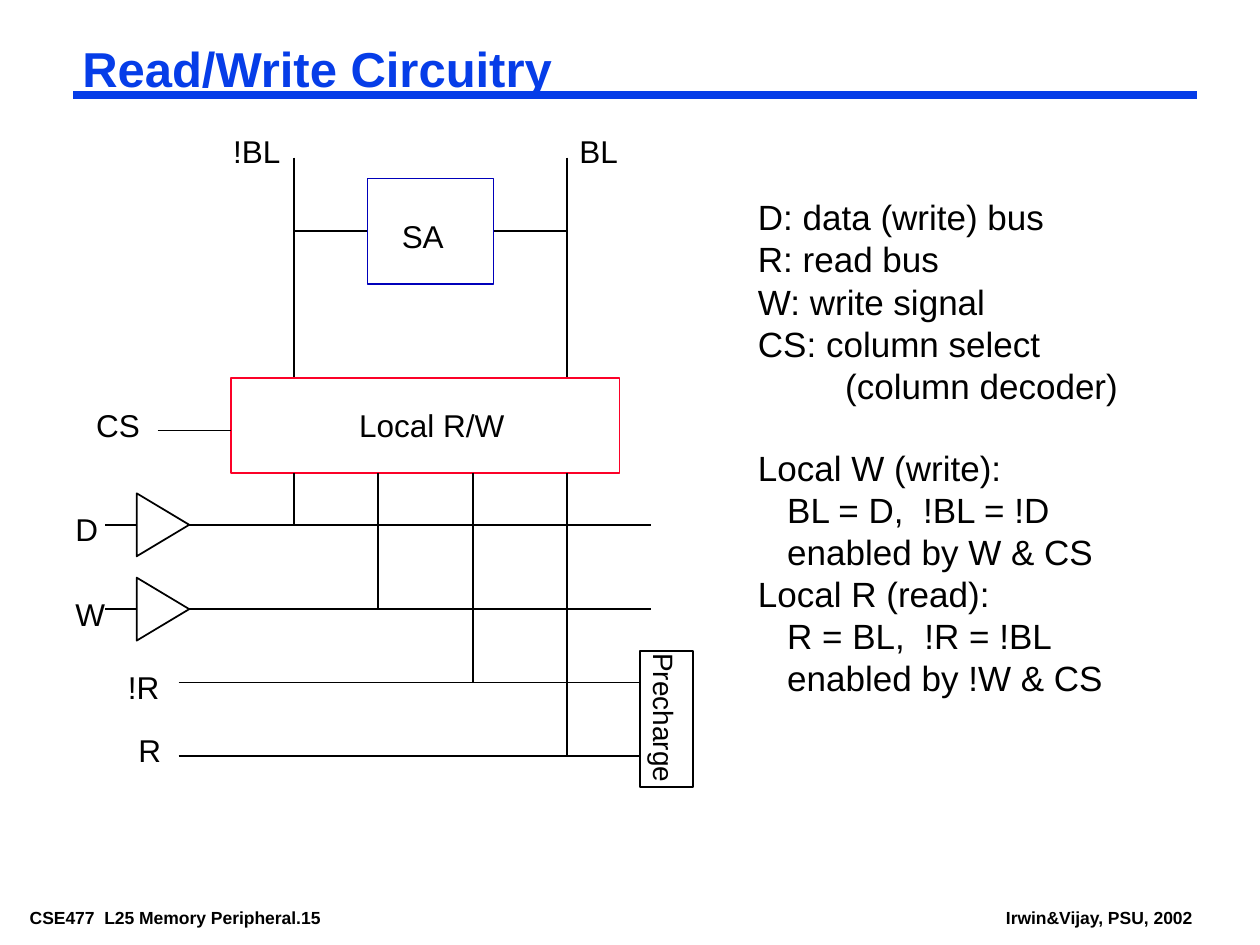
from dataclasses import dataclass

from lxml import etree
from pptx import Presentation
from pptx import util as u
from pptx.dml.color import RGBColor
from pptx.enum import shapes, text
from pptx.oxml import ns


@dataclass(frozen=True)
class Theme:
    font: str = "Arial"
    ink: str = "000000"
    blue: str = "063DE8"
    navy: str = "0000BA"
    red: str = "FC0128"
    title: float = 28
    body: float = 20
    label: float = 18
    small: float = 16
    footer: float = 10
    wire: float = 0.99
    rule: float = 4.5


class Sketch:
    def __init__(self, slide, theme):
        self.slide = slide
        self.theme = theme

    def style(self, para, size, color=None, bold=False):
        font = para.font
        font.name = self.theme.font
        font.size = u.Pt(size)
        font.bold = bold
        font.color.rgb = RGBColor.from_string(color or self.theme.ink)

    def frame(self, box, anchor, side, end, wrap):
        frame = box.text_frame
        frame.word_wrap = wrap
        frame.auto_size = text.MSO_AUTO_SIZE.NONE
        frame.vertical_anchor = anchor
        frame.margin_left = frame.margin_right = u.Cm(side)
        frame.margin_top = frame.margin_bottom = u.Cm(end)
        return frame

    def title(self, words, left, top, width, height):
        box = self.slide.shapes.title
        box.left, box.top = u.Cm(left), u.Cm(top)
        box.width, box.height = u.Cm(width), u.Cm(height)
        frame = self.frame(box, text.MSO_ANCHOR.TOP, 0.18, 0.08, True)
        frame.text = words
        para = frame.paragraphs[0]
        para.alignment = text.PP_ALIGN.LEFT
        para.line_spacing = 0.87
        self.style(para, self.theme.title, self.theme.blue, True)

    def note(self, lines, left, top, width, height, size, bold=False,
             anchor=text.MSO_ANCHOR.MIDDLE, side=0.25, end=0.13, wrap=False):
        box = self.slide.shapes.add_textbox(
            u.Cm(left), u.Cm(top), u.Cm(width), u.Cm(height))
        frame = self.frame(box, anchor, side, end, wrap)
        for index, (words, indent, gap) in enumerate(lines):
            para = frame.add_paragraph() if index else frame.paragraphs[0]
            para.text = words
            para.space_before = u.Pt(gap)
            self.style(para, size, bold=bold)
            if indent:
                props = para._p.get_or_add_pPr()
                props.set("marL", str(u.Cm(indent)))
                props.set("indent", "0")
        return box

    def label(self, words, left, top, width):
        self.note([(words, 0, 0)], left, top, width, 1.02, self.theme.label)

    def footer(self, words, left, width):
        self.note([(words, 0, 0)], left, 18.21, width, 0.56, self.theme.footer,
                  True, text.MSO_ANCHOR.TOP, 0.18, 0.08)

    def line(self, x1, y1, x2, y2, color=None, weight=None):
        wire = self.slide.shapes.add_connector(
            shapes.MSO_CONNECTOR.STRAIGHT, u.Cm(x1), u.Cm(y1), u.Cm(x2), u.Cm(y2))
        wire.line.color.rgb = RGBColor.from_string(color or self.theme.ink)
        wire.line.width = u.Pt(weight or self.theme.wire)
        etree.SubElement(wire._element.spPr, ns.qn("a:effectLst"))

    def outline(self, kind, left, top, width, height, color=None, turn=0):
        shape = self.slide.shapes.add_shape(
            kind, u.Cm(left), u.Cm(top), u.Cm(width), u.Cm(height))
        shape.rotation = turn
        shape.shadow.inherit = False
        shape.fill.background()
        shape.line.color.rgb = RGBColor.from_string(color or self.theme.ink)
        shape.line.width = u.Pt(self.theme.wire)


deck = Presentation()
deck.slide_width, deck.slide_height = u.Cm(25.4), u.Cm(19.05)
page = deck.slides.add_slide(deck.slide_layouts[5])
theme = Theme()
sketch = Sketch(page, theme)
RECT = shapes.MSO_SHAPE.RECTANGLE
TRIANGLE = shapes.MSO_SHAPE.ISOSCELES_TRIANGLE

sketch.footer("CSE477  L25 Memory Peripheral.15", 0.42, 7.52)
sketch.footer("Irwin&Vijay, PSU, 2002", 20.1, 4.14)
sketch.line(1.48, 1.91, 24.13, 1.91, theme.blue, theme.rule)
sketch.title("Read/Write Circuitry", 1.48, 0.85, 22.65, 1.17)

sketch.note([
    ("D: data (write) bus", 0, 0),
    ("R: read bus", 0, 0),
    ("W: write signal", 0, 0),
    ("CS: column select", 0, 0),
    ("(column decoder)", 1.76, 0),
    ("Local W (write):", 0, 23),
    ("BL = D,  !BL = !D", 0.59, 0),
    ("enabled by W & CS", 0.59, 0),
    ("Local R (read):", 0, 0),
    ("R = BL,  !R = !BL", 0.59, 0),
    ("enabled by !W & CS", 0.59, 0),
], 15.03, 3.81, 8.47, 10.41, theme.body, wrap=True)

bit_bar, bit = 5.93, 11.43
data, write, read_bar, read = 10.58, 12.28, 13.76, 15.24
local_top, local_bottom = 7.62, 9.53
sense_y = 4.66

for x in (bit_bar, bit):
    sketch.line(x, 3.18, x, local_top)
for x1, x2 in ((bit_bar, 7.41), (9.95, bit)):
    sketch.line(x1, sense_y, x2, sense_y)
sketch.outline(RECT, 7.41, 3.6, 2.54, 2.12, theme.navy)
sketch.outline(RECT, 4.66, local_top, 7.83, local_bottom - local_top, theme.red)
sketch.line(3.18, 8.68, 4.66, 8.68)

for y in (data, write):
    sketch.line(2.12, y, 2.75, y)
    sketch.outline(TRIANGLE, 2.65, y - 0.53, 1.27, 1.06, turn=90)
    sketch.line(3.81, y, 13.12, y)
for y in (read_bar, read):
    sketch.line(3.6, y, 12.91, y)
for x, y in ((bit_bar, data), (7.62, write), (9.53, read_bar), (bit, read)):
    sketch.line(x, local_bottom, x, y)

sketch.outline(RECT, 12.91, 13.12, 1.06, 2.75)
precharge = sketch.note([("Precharge", 0, 0)], 11.84, 14, 3.1, 0.94, theme.small)
precharge.rotation = 90

for words, left, top, width in (
    ("!BL", 4.45, 2.54, 1.45),
    ("BL", 11.43, 2.54, 1.27),
    ("SA", 7.85, 4.24, 1.35),
    ("Local R/W", 6.99, 8.05, 3.43),
    ("CS", 1.69, 8.05, 1.37),
    ("D", 1.27, 10.16, 0.97),
    ("W", 1.27, 11.86, 1.09),
    ("!R", 2.33, 13.34, 1.14),
    ("R", 2.54, 14.61, 0.97),
):
    sketch.label(words, left, top, width)

deck.save("out.pptx")
